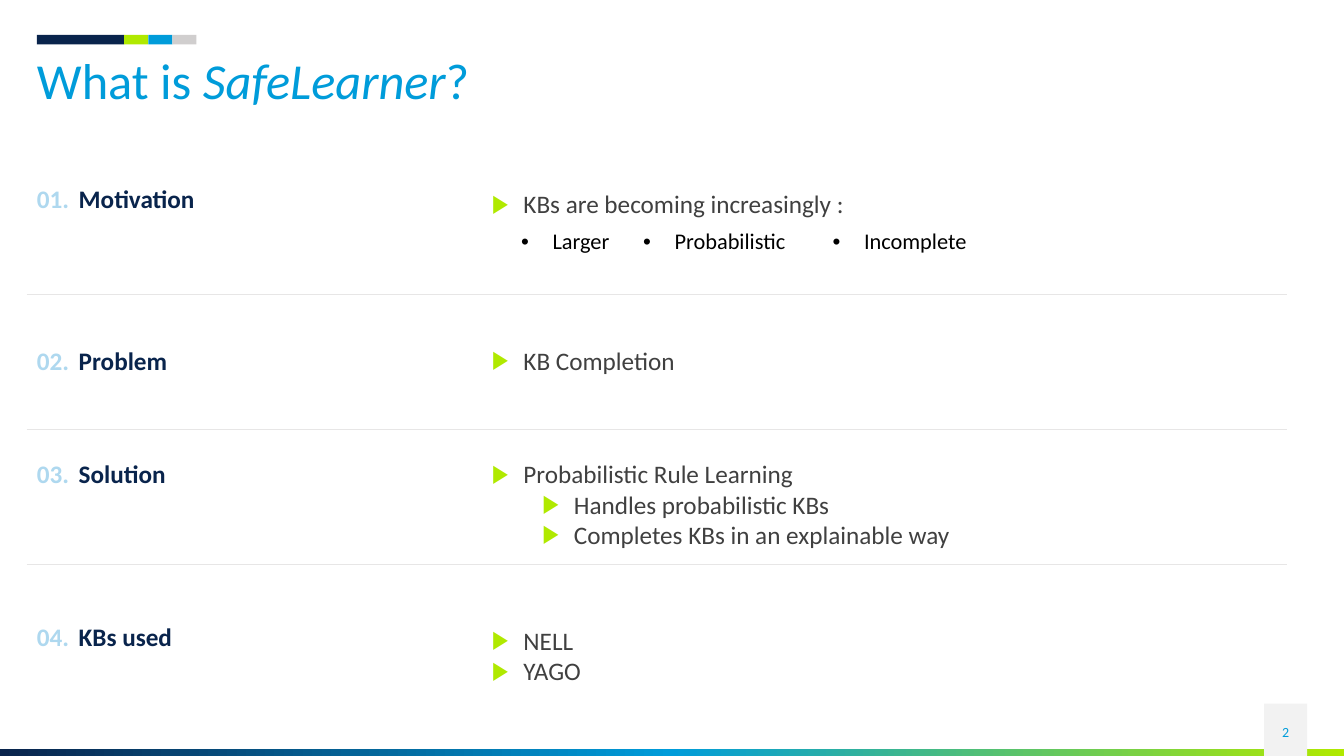
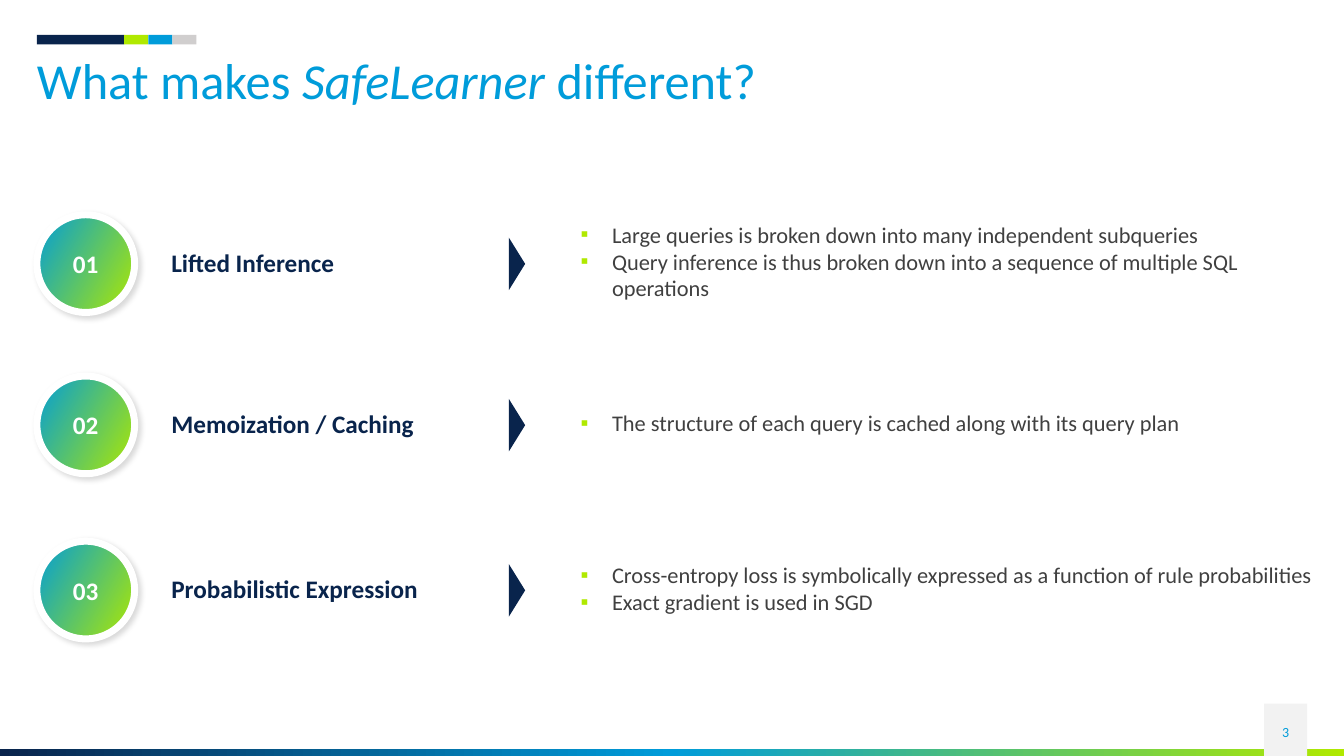
"""Build two slides that introduce SafeLearner and what sets it apart."""
import copy

import lxml.etree
import pptx
import pptx.dml.color
import pptx.enum.shapes
import pptx.enum.text
import pptx.oxml.ns
import pptx.util

Pt = pptx.util.Pt
RGBColor = pptx.dml.color.RGBColor
MSO_SHAPE = pptx.enum.shapes.MSO_SHAPE
PP_ALIGN = pptx.enum.text.PP_ALIGN
MSO_ANCHOR = pptx.enum.text.MSO_ANCHOR
qn = pptx.oxml.ns.qn
SubElement = lxml.etree.SubElement

FONT = "Calibri"
NAVY = RGBColor(0x09, 0x24, 0x4C)
BLUE = RGBColor(0x00, 0x9C, 0xDA)
LIME = RGBColor(0xB0, 0xE9, 0x00)
SILVER = RGBColor(0xD0, 0xCE, 0xCE)
PALE_GRAY = RGBColor(0xF2, 0xF2, 0xF2)
RULE_GRAY = RGBColor(0xE7, 0xE6, 0xE6)
PALE_BLUE = RGBColor(0xAE, 0xD8, 0xEF)
TEXT_GRAY = RGBColor(0x40, 0x40, 0x40)
BLACK = RGBColor(0x00, 0x00, 0x00)
WHITE = RGBColor(0xFF, 0xFF, 0xFF)


def add_block(slide, preset, box, colors, angle=0):
    """Add a borderless shape with a solid or an evenly stepped gradient fill."""
    block = slide.shapes.add_shape(preset, *map(Pt, box))
    block.shadow.inherit = False
    block.line.fill.background()
    if len(colors) == 1:
        block.fill.solid()
        block.fill.fore_color.rgb = colors[0]
        return block
    block.fill.gradient()
    block.fill.gradient_angle = angle
    stop_list = block.element.spPr.find(".//" + qn("a:gsLst"))
    for _ in colors[2:]:
        stop_list.insert(1, copy.deepcopy(stop_list[0]))
    for index, (stop, color) in enumerate(zip(block.fill.gradient_stops, colors)):
        stop.position = index / (len(colors) - 1)
        stop.color.rgb = color
    return block


def write_lines(frame, lines, size, color, bold=False, align=PP_ALIGN.LEFT,
                bullet=None, bullet_color=LIME):
    """Fill a text frame with (level, text) lines, bulleted if a bullet is given."""
    for index, (level, text) in enumerate(lines):
        paragraph = frame.add_paragraph() if index else frame.paragraphs[0]
        paragraph.text = text
        paragraph.level = level
        paragraph.alignment = align
        if bullet:
            properties = paragraph._p.get_or_add_pPr()
            properties.set("marL", str(Pt(22.5 + 36 * level)))
            properties.set("indent", str(Pt(-22.5)))
            bullet_fill = SubElement(properties, qn("a:buClr"))
            SubElement(bullet_fill, qn("a:srgbClr"), val=str(bullet_color))
            SubElement(properties, qn("a:buFont"), typeface="Arial")
            SubElement(properties, qn("a:buChar"), char=bullet)
        paragraph.font.name = FONT
        paragraph.font.size = Pt(size)
        paragraph.font.bold = bold
        paragraph.font.color.rgb = color


deck = pptx.Presentation()
deck.slide_width = Pt(960)
deck.slide_height = Pt(540)

for number, title_end in ((2, "?"), (3, " different?")):
    slide = deck.slides.add_slide(deck.slide_layouts[5])
    for box, colors in (
        ((0, 535, 960, 5), [NAVY, BLUE, LIME]),
        ((903, 502.7, 30.7, 37.3), [PALE_GRAY]),
        ((26.4, 25, 62.3, 6.8), [NAVY]),
        ((88.7, 25, 17.2, 6.8), [LIME]),
        ((105.9, 25, 17.2, 6.8), [BLUE]),
        ((123.1, 25, 17.2, 6.8), [SILVER]),
    ):
        add_block(slide, MSO_SHAPE.RECTANGLE, box, colors)

    title = slide.shapes.title
    title.left, title.top, title.width, title.height = map(Pt, (26.4, 40, 907, 39.6))
    title.text_frame.auto_size = pptx.enum.text.MSO_AUTO_SIZE.NONE
    title.text_frame.vertical_anchor = MSO_ANCHOR.TOP
    heading = title.text_frame.paragraphs[0]
    heading.alignment = PP_ALIGN.LEFT
    heading.line_spacing = 0.9
    heading.font.name = FONT
    heading.font.size = Pt(36)
    heading.font.color.rgb = BLUE
    title_start = "What is " if number == 2 else "What makes "
    for text, italic in ((title_start, False), ("SafeLearner", True), (title_end, False)):
        run = heading.add_run()
        run.text = text
        run.font.italic = italic

    page = slide.shapes.add_textbox(Pt(903), Pt(508.3), Pt(30.7), Pt(28.8)).text_frame
    page.vertical_anchor = MSO_ANCHOR.MIDDLE
    write_lines(page, [(0, str(number))], 10, BLUE, align=PP_ALIGN.CENTER)

overview, differences = deck.slides

topics = [
    ("Motivation", 131, 134.6, [(0, "KBs are becoming increasingly :")]),
    ("Problem", 246.4, 246.4, [(0, "KB Completion")]),
    ("Solution", 327.6, 327.6, [
        (0, "Probabilistic Rule Learning"),
        (1, "Handles probabilistic KBs"),
        (1, "Completes KBs in an explainable way"),
    ]),
    ("KBs used", 443.5, 446.5, [(0, "NELL"), (0, "YAGO")]),
]
for number, (topic, top, points_top, points) in enumerate(topics, start=1):
    label = overview.shapes.add_textbox(Pt(56.2), Pt(top), Pt(372), Pt(24.5))
    write_lines(label.text_frame, [(0, topic)], 18, NAVY, bold=True)
    ordinal = overview.shapes.add_textbox(Pt(26.4), Pt(top), Pt(26), Pt(24.5))
    write_lines(ordinal.text_frame, [(0, f"{number:02}.")], 18, PALE_BLUE, bold=True)
    detail = overview.shapes.add_textbox(
        Pt(351.4), Pt(points_top), Pt(372), Pt(3 + 21.8 * len(points)))
    write_lines(detail.text_frame, points, 18, TEXT_GRAY, bullet="▶")

traits = overview.shapes.add_table(
    1, 3, Pt(365), Pt(159.1), Pt(357.8), Pt(26.7)).table
traits.first_row = False
traits.horz_banding = False
for index, (trait, width) in enumerate(
        (("Larger", 87.2), ("Probabilistic", 135.3), ("Incomplete", 135.3))):
    traits.columns[index].width = Pt(width)
    cell = traits.cell(0, index)
    cell.fill.background()
    write_lines(cell.text_frame, [(0, trait)], 16, BLACK, bullet="•", bullet_color=BLACK)

for index in range(3):
    height = Pt(210.2 + 96.5 * index)
    divider = overview.shapes.add_connector(
        pptx.enum.shapes.MSO_CONNECTOR.STRAIGHT, Pt(19.2), height, Pt(919.5), height)
    divider.line.color.rgb = RULE_GRAY
    divider.line.width = Pt(0.5)
    SubElement(divider.element.spPr, qn("a:effectLst"))

features = [
    ("Lifted Inference", 153.4, (157.7, 517, 61.2), [
        (0, "Large queries is broken down into many independent subqueries"),
        (0, "Query inference is thus broken down into a sequence of multiple SQL operations"),
    ]),
    ("Memoization / Caching", 268.6, (292.2, 517, 22.3), [
        (0, "The structure of each query is cached along with its query plan"),
    ]),
    ("Probabilistic Expression", 386.6, (401, 530.6, 41.8), [
        (0, "Cross-entropy loss is symbolically expressed as a function of rule probabilities"),
        (0, "Exact gradient is used in SGD"),
    ]),
]
for number, (feature, top, (points_top, width, height), points) in enumerate(features, start=1):
    badge = add_block(differences, MSO_SHAPE.OVAL, (26.4, top, 69.8, 69.8), [BLUE, LIME], 330)
    badge.line.color.rgb = WHITE
    badge.line.width = Pt(5)
    shadow = SubElement(
        badge.element.spPr.find(qn("a:effectLst")), qn("a:outerShdw"),
        blurRad=str(Pt(4)), dist=str(Pt(3)), dir="2700000", algn="tl", rotWithShape="0")
    shadow_color = SubElement(shadow, qn("a:srgbClr"), val=str(BLACK))
    SubElement(shadow_color, qn("a:alpha"), val="15000")
    badge.text_frame.vertical_anchor = MSO_ANCHOR.MIDDLE
    write_lines(badge.text_frame, [(0, f"{number:02}")], 18, WHITE, bold=True,
                align=PP_ALIGN.CENTER)

    label = differences.shapes.add_textbox(Pt(122.4), Pt(top + 23), Pt(202.3), Pt(24.5))
    write_lines(label.text_frame, [(0, feature)], 18, NAVY, bold=True)
    detail = differences.shapes.add_textbox(Pt(414.7), Pt(points_top), Pt(width), Pt(height))
    write_lines(detail.text_frame, points, 16, TEXT_GRAY, bullet="▪")
    pointer = add_block(differences, MSO_SHAPE.ISOSCELES_TRIANGLE,
                        (350.6, top + 29.3, 37.4, 11.6), [NAVY])
    pointer.rotation = 90

for slide in deck.slides:
    for shape in slide.shapes:
        if shape.has_text_frame:
            frame = shape.text_frame
            frame.word_wrap = True
            frame.margin_left = frame.margin_right = 0
            frame.margin_top = frame.margin_bottom = 0

deck.save("out.pptx")
